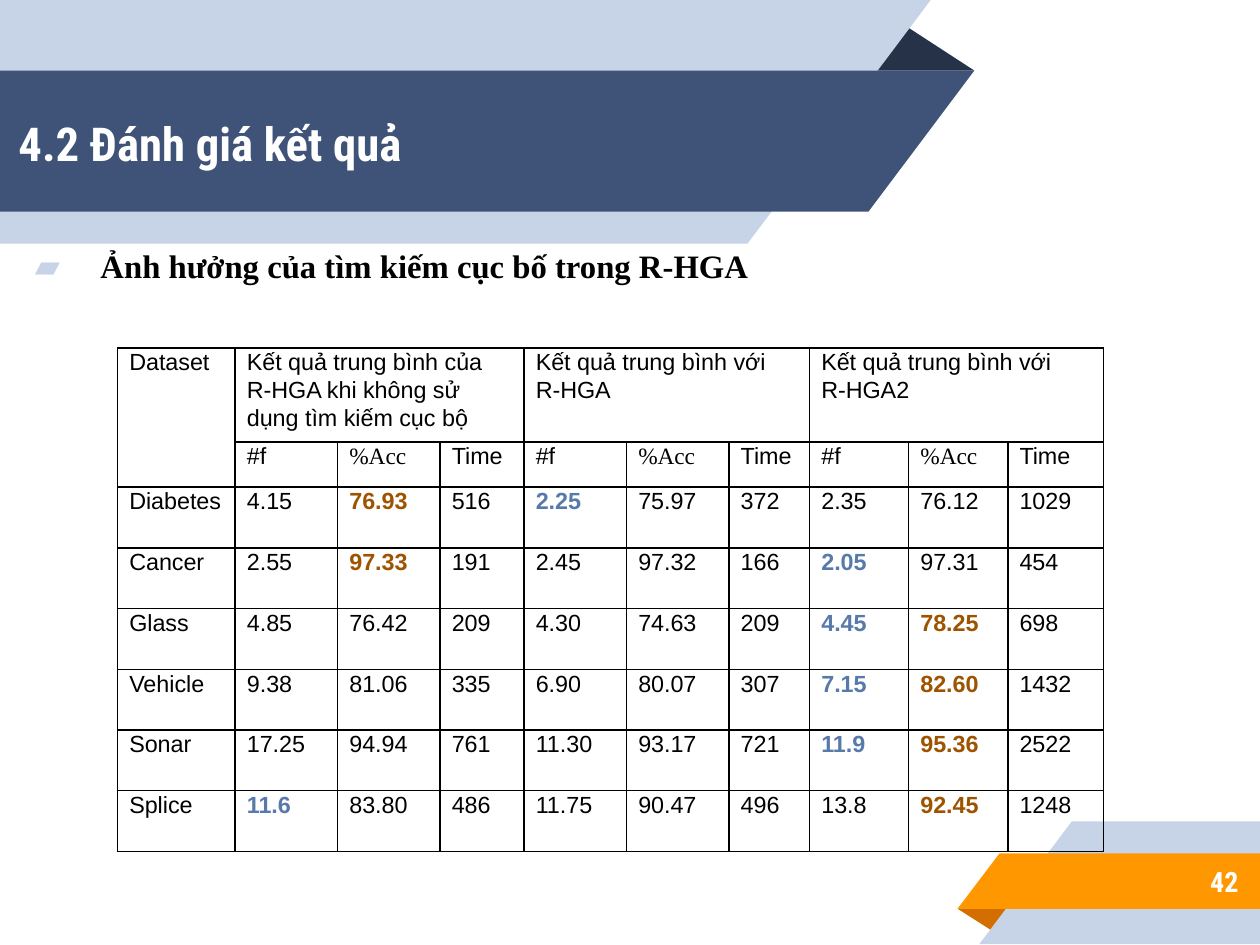
from dataclasses import dataclass

from lxml import etree
from pptx import Presentation
from pptx.dml.color import RGBColor
from pptx.enum.text import MSO_ANCHOR, MSO_AUTO_SIZE, PP_ALIGN
from pptx.oxml.ns import qn
from pptx.util import Inches, Pt

LEFT, RIGHT, JUSTIFY = PP_ALIGN.LEFT, PP_ALIGN.RIGHT, PP_ALIGN.JUSTIFY
TOP, MIDDLE = MSO_ANCHOR.TOP, MSO_ANCHOR.MIDDLE
NO_AUTOFIT = MSO_AUTO_SIZE.NONE
TITLE_ONLY = 5


@dataclass(frozen=True)
class Theme:
    navy: str = "3F5378"
    navy_fold: str = "263248"
    pale: str = "C7D3E6"
    orange: str = "FF9800"
    orange_fold: str = "D26F00"
    best_features: str = "587AAA"
    best_accuracy: str = "9D5300"
    black: str = "000000"
    white: str = "FFFFFF"
    display: str = "Roboto Condensed"
    serif: str = "Times New Roman"
    sans: str = "Arial"
    title_size: int = 20
    heading_size: int = 14
    number_size: int = 12
    table_size: int = 10
    border: float = 0.75
    line_spacing: float = 1.07


THEME = Theme()

METHODS = [
    ["Kết quả trung bình của R-HGA khi không sử dụng tìm kiếm cục bộ"],
    ["Kết quả trung bình với ", "R-HGA"],
    ["Kết quả trung bình với ", "R-HGA2"],
]
MEASURES = ["#f", "%Acc", "Time"]
# Dataset, measures for each method, columns holding the best values
RESULTS = [
    ("Diabetes", "4.15 76.93 516 2.25 75.97 372 2.35 76.12 1029", {2, 4}),
    ("Cancer", "2.55 97.33 191 2.45 97.32 166 2.05 97.31 454", {2, 7}),
    ("Glass", "4.85 76.42 209 4.30 74.63 209 4.45 78.25 698", {7, 8}),
    ("Vehicle", "9.38 81.06 335 6.90 80.07 307 7.15 82.60 1432", {7, 8}),
    ("Sonar", "17.25 94.94 761 11.30 93.17 721 11.9 95.36 2522", {7, 8}),
    ("Splice", "11.6 83.80 486 11.75 90.47 496 13.8 92.45 1248", {1, 8}),
]
COLUMN_WIDTHS = [0.7, 0.61, 0.61, 0.5, 0.61, 0.61, 0.48, 0.59, 0.59, 0.57]
HEADER_HEIGHTS = [0.56, 0.27]


def add_run(paragraph, text, size, font, color, bold=False):
    run = paragraph.add_run()
    run.text = text
    run.font.size = Pt(size)
    run.font.name = font
    run.font.bold = bold
    run.font.color.rgb = RGBColor.from_string(color)


def set_frame(shape, box, anchor):
    """Place a text shape and return its first paragraph."""
    shape.left, shape.top, shape.width, shape.height = map(Inches, box)
    frame = shape.text_frame
    frame.word_wrap = True
    frame.auto_size = NO_AUTOFIT
    frame.vertical_anchor = anchor
    frame.margin_left = frame.margin_right = Inches(0.1)
    frame.margin_top = frame.margin_bottom = Inches(0.1)
    return frame.paragraphs[0]


def add_panel(slide, box, points, color):
    """Draw a filled polygon whose points are relative to the box corner."""
    left, top = box[:2]
    corners = [(Inches(left + x), Inches(top + y)) for x, y in points]
    builder = slide.shapes.build_freeform(*corners[0])
    builder.add_line_segments(corners[1:], close=True)
    panel = builder.convert_to_shape()
    panel.shadow.inherit = False
    panel.fill.solid()
    panel.fill.fore_color.rgb = RGBColor.from_string(color)
    panel.line.fill.background()


def add_header(slide, box, title_text):
    left, top = box[:2]
    add_panel(slide, box, [(5.37, 0.14), (5.8, 0.42), (5.16, 0.42)], THEME.navy_fold)
    add_panel(slide, box, [(0, 0), (5.54, 0), (4.45, 1.45), (0, 1.45)], THEME.pale)
    add_panel(slide, box, [(0, 0.42), (5.8, 0.42), (5.17, 1.26), (0, 1.26)], THEME.navy)

    title = slide.shapes.title
    title.element.getparent().append(title.element)  # bring above the ribbon
    paragraph = set_frame(title, (left + 0.01, top + 0.43, 5.37, 0.84), MIDDLE)
    paragraph.alignment = LEFT
    add_run(paragraph, title_text, THEME.title_size, THEME.display, THEME.white, True)


def add_footer(slide, box, number):
    left, top = box[:2]
    add_panel(slide, box, [(0, 0.52), (0.32, 0.52), (0.22, 0.66)], THEME.orange_fold)
    add_panel(slide, box, [(0.68, 0), (1.8, 0), (1.8, 0.73), (0.13, 0.73)], THEME.pale)
    add_panel(slide, box, [(0.25, 0.19), (1.8, 0.19), (1.8, 0.52), (0, 0.52)], THEME.orange)

    page = slide.shapes.add_textbox(0, 0, 0, 0)
    paragraph = set_frame(page, (left + 0.55, top + 0.18, 1.22, 0.35), MIDDLE)
    paragraph.alignment = RIGHT
    add_run(paragraph, number, THEME.number_size, THEME.display, THEME.white, True)


def add_heading(slide, box, text):
    heading = slide.shapes.add_textbox(0, 0, 0, 0)
    paragraph = set_frame(heading, box, TOP)
    paragraph.line_spacing = THEME.line_spacing
    paragraph.space_before, paragraph.space_after = Pt(6), Pt(8)
    properties = paragraph._p.get_or_add_pPr()
    properties.set("marL", str(Inches(0.5)))
    properties.set("indent", str(Inches(-0.39)))
    bullet_color = etree.SubElement(properties, qn("a:buClr"))
    etree.SubElement(bullet_color, qn("a:srgbClr"), val=THEME.pale)
    etree.SubElement(properties, qn("a:buFont"), typeface=THEME.sans)
    etree.SubElement(properties, qn("a:buChar"), char="▰")
    add_run(paragraph, text, THEME.heading_size, THEME.serif, THEME.black, True)


def format_cell(cell):
    cell.margin_left = cell.margin_right = Inches(0.07)
    cell.margin_top = cell.margin_bottom = 0
    properties = cell._tc.get_or_add_tcPr()
    for side in ("lnL", "lnR", "lnT", "lnB"):
        line = etree.SubElement(properties, qn(f"a:{side}"), w=str(Pt(THEME.border)))
        fill = etree.SubElement(line, qn("a:solidFill"))
        etree.SubElement(fill, qn("a:srgbClr"), val=THEME.black)
    cell.fill.background()


def write_cell(cell, lines, alignment=JUSTIFY, font=THEME.sans, color=THEME.black, bold=False):
    paragraph = cell.text_frame.paragraphs[0]
    paragraph.alignment = alignment
    paragraph.line_spacing = THEME.line_spacing
    for index, line in enumerate(lines):
        if index:
            paragraph.add_line_break()
        add_run(paragraph, line, THEME.table_size, font, color, bold)


def add_results_table(slide, box):
    result_height = (box[3] - sum(HEADER_HEIGHTS)) / len(RESULTS)
    row_heights = HEADER_HEIGHTS + [result_height] * len(RESULTS)
    table = slide.shapes.add_table(
        len(row_heights), len(COLUMN_WIDTHS), *map(Inches, box)).table
    table.first_row = table.horz_banding = False
    for column, width in zip(table.columns, COLUMN_WIDTHS):
        column.width = Inches(width)
    for row, height in zip(table.rows, row_heights):
        row.height = Inches(height)
    for cell in table.iter_cells():
        format_cell(cell)

    table.cell(0, 0).merge(table.cell(1, 0))
    write_cell(table.cell(0, 0), ["Dataset"], LEFT)
    for group, method in enumerate(METHODS):
        first = 1 + group * len(MEASURES)
        table.cell(0, first).merge(table.cell(0, first + len(MEASURES) - 1))
        write_cell(table.cell(0, first), method, LEFT)
        for offset, measure in enumerate(MEASURES):
            font = THEME.serif if measure == "%Acc" else THEME.sans
            write_cell(table.cell(1, first + offset), [measure], font=font)

    best_colors = {"#f": THEME.best_features, "%Acc": THEME.best_accuracy}
    for row, (dataset, values, best) in enumerate(RESULTS, start=len(HEADER_HEIGHTS)):
        write_cell(table.cell(row, 0), [dataset])
        for column, value in enumerate(values.split(), start=1):
            measure = MEASURES[(column - 1) % len(MEASURES)]
            is_best = column in best
            color = best_colors[measure] if is_best else THEME.black
            write_cell(table.cell(row, column), [value], color=color, bold=is_best)


def main():
    deck = Presentation()
    deck.slide_width = Inches(7.5)
    deck.slide_height = deck.slide_width * 3 // 4
    slide = deck.slides.add_slide(deck.slide_layouts[TITLE_ONLY])
    add_header(slide, (0, 0, 5.8, 1.45), "4.2 Đánh giá kết quả")
    add_footer(slide, (5.7, 4.89, 1.8, 0.73), "42")
    add_heading(slide, (0, 1.35, 7.26, 0.64), "Ảnh hưởng của tìm kiếm cục bố trong R-HGA")
    add_results_table(slide, (0.7, 2.07, 5.87, 3))
    deck.save("out.pptx")


if __name__ == "__main__":
    main()
